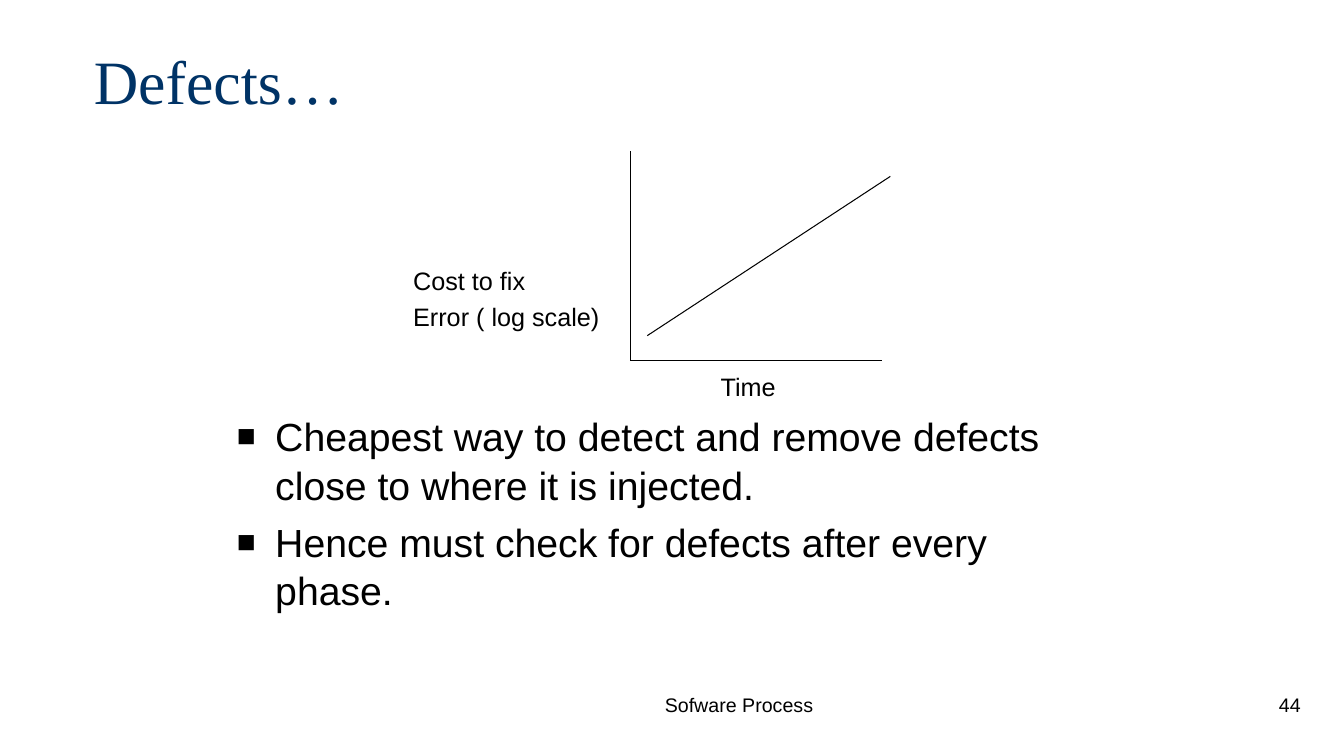
from lxml import etree
from pptx import Presentation
from pptx.dml.color import RGBColor
from pptx.enum.shapes import MSO_CONNECTOR as Connector
from pptx.enum.text import MSO_ANCHOR as Anchor, MSO_AUTO_SIZE as AutoSize, PP_ALIGN as Align
from pptx.oxml.ns import qn
from pptx.util import Inches, Pt


def color(hex_text):
    return RGBColor.from_string(hex_text)


class SlideBuilder:
    """Style and drawing methods for the current slide."""
    BLACK, NAVY = "000000", "003366"
    BODY_FONT, TITLE_FONT = "Arial", "Times New Roman"
    LINE_SPACING = 1.04

    def __init__(self, slide):
        self.slide = slide

    def place(self, shape, left, top, width, height):
        shape.left, shape.top = Inches(left), Inches(top)
        shape.width, shape.height = Inches(width), Inches(height)

    def fill_text(self, shape, lines, size, align=Align.LEFT, anchor=Anchor.TOP,
                  font=BODY_FONT, ink=BLACK, gap=0, spacing=1.0):
        frame = shape.text_frame
        frame.word_wrap, frame.auto_size = True, AutoSize.NONE
        frame.vertical_anchor = anchor
        frame.text = "\n".join(lines)
        for index, paragraph in enumerate(frame.paragraphs):
            paragraph.alignment = align
            paragraph.line_spacing = spacing
            paragraph.space_before = Pt(gap if index else 0)
            paragraph.font.name, paragraph.font.size = font, Pt(size)
            paragraph.font.color.rgb = color(ink)

    def title(self, text, *box):
        shape = self.slide.shapes.title
        self.place(shape, *box)
        self.fill_text(shape, [text], 44, anchor=Anchor.MIDDLE,
                       font=self.TITLE_FONT, ink=self.NAVY)

    def bullets(self, lines, *box):
        shape = self.slide.placeholders[1]
        self.place(shape, *box)
        self.fill_text(shape, lines, 28, gap=5.6, spacing=self.LINE_SPACING)
        for paragraph in shape.text_frame.paragraphs:
            properties = paragraph._p.get_or_add_pPr()
            properties.set("marL", str(Inches(0.38)))
            properties.set("indent", str(Inches(-0.38)))
            bullet_color = etree.SubElement(properties, qn("a:buClr"))
            etree.SubElement(bullet_color, qn("a:srgbClr"), val=self.BLACK)
            etree.SubElement(properties, qn("a:buSzPct"), val="80000")
            etree.SubElement(properties, qn("a:buFont"), typeface=self.BODY_FONT)
            etree.SubElement(properties, qn("a:buChar"), char="■")
            # Bullet settings come before the default run properties
            properties.append(properties.find(qn("a:defRPr")))

    def label(self, lines, size, *box, **style):
        shape = self.slide.shapes.add_textbox(*map(Inches, box))
        self.fill_text(shape, lines, size, **style)

    def line(self, *ends):
        connector = self.slide.shapes.add_connector(Connector.STRAIGHT, *map(Inches, ends))
        connector.line.width = Pt(0.75)
        connector.line.color.rgb = color(self.BLACK)
        etree.SubElement(connector._element.spPr, qn("a:effectLst"))


def main():
    presentation = Presentation()
    presentation.slide_width, presentation.slide_height = Inches(13.33), Inches(7.5)
    slide = presentation.slides.add_slide(presentation.slide_layouts[1])
    builder = SlideBuilder(slide)

    # Title and bullets
    builder.title("Defects…", 0.83, 0.29, 8.5, 1)
    builder.bullets(["Cheapest way to detect and remove defects close to where it is injected.",
                     "Hence must check for defects after every phase."], 2.25, 4.02, 8.5, 1.98)

    # Sketch of cost over time: axes, then the rising line
    origin_x, origin_y = 6.25, 3.58
    builder.line(origin_x, 1.5, origin_x, origin_y)
    builder.line(origin_x, origin_y, 8.75, origin_y)
    builder.line(6.42, 3.33, 8.83, 1.75)

    # Axis labels
    builder.label(["Cost to fix", "Error ( log scale)"], 18, 4, 2.57, 2.2, 0.75,
                  gap=3.6, spacing=builder.LINE_SPACING)
    builder.label(["Time"], 18, 7.05, 3.63, 1, 0.4)

    # Footer and page number
    builder.label(["Sofware Process"], 14, 5.22, 6.83, 4.22, 0.5, align=Align.CENTER)
    builder.label(["44"], 14, 10.22, 6.83, 2.78, 0.5, align=Align.RIGHT)

    presentation.save("out.pptx")


if __name__ == "__main__":
    main()
